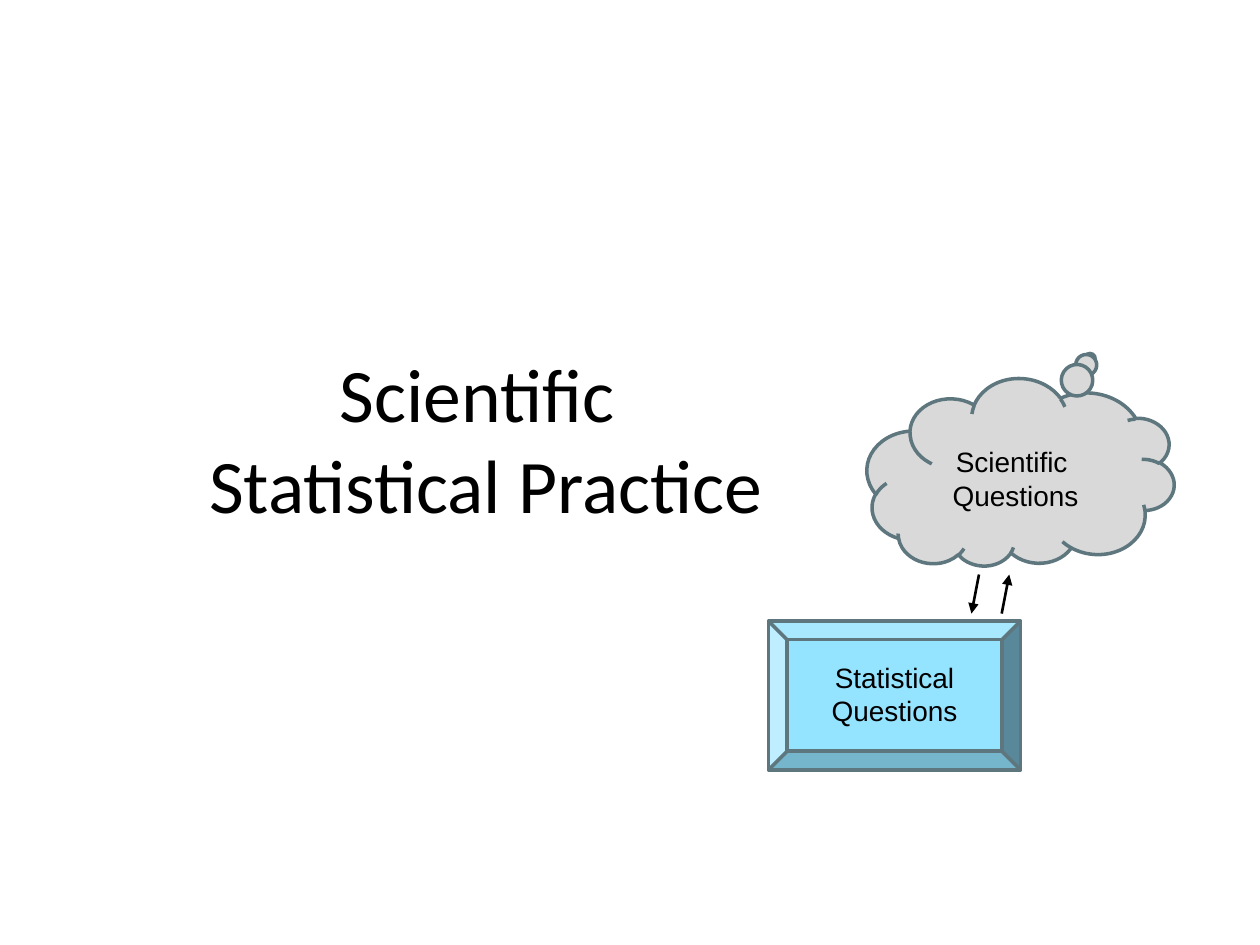
"""Build a slide linking scientific questions to statistical questions."""
from pptx import Presentation
from pptx.dml.color import RGBColor
from pptx.enum.shapes import MSO_CONNECTOR, MSO_SHAPE
from pptx.enum.text import MSO_ANCHOR, PP_ALIGN
from pptx.oxml.ns import qn
from pptx.util import Inches, Pt
from lxml.etree import SubElement

COLORS = {"cloud": "D9D9D9", "bevel": "94E4FF", "outline": "5E777F", "ink": "000000"}

presentation = Presentation()
presentation.slide_width = Inches(10)
presentation.slide_height = Inches(7.5)
slide = presentation.slides.add_slide(presentation.slide_layouts[6])


def place(left, top, width, height):
    across, down = presentation.slide_width / 10, presentation.slide_height / 7.5
    return int(left * across), int(top * down), int(width * across), int(height * down)


def add_text(text, box, size=16, font="Arial", anchor=MSO_ANCHOR.TOP):
    frame = slide.shapes.add_textbox(*place(*box)).text_frame
    frame.word_wrap = True
    frame.vertical_anchor = anchor
    paragraph = frame.paragraphs[0]
    paragraph.text = text
    paragraph.alignment = PP_ALIGN.CENTER
    for run in paragraph.runs:
        run.font.size = Pt(size)
        run.font.name = font
        run.font.color.rgb = RGBColor.from_string(COLORS["ink"])


add_text("Scientific \vStatistical Practice", (0.35, 3.04, 7.01, 0.87),
         size=43.2, font="Calibri", anchor=MSO_ANCHOR.MIDDLE)

questions = [
    (MSO_SHAPE.CLOUD_CALLOUT, "cloud", (6.88, 3.01, 2.44, 1.5), 182.6,
     "Scientific \vQuestions", (7.27, 3.48, 1.58, 0.64)),
    (MSO_SHAPE.BEVEL, "bevel", (6.1, 4.93, 2, 1.18), 0,
     "Statistical\vQuestions", (6.31, 5.19, 1.58, 0.64)),
]
for preset, color, shape_box, rotation, label, label_box in questions:
    shape = slide.shapes.add_shape(preset, *place(*shape_box))
    shape.rotation = rotation
    shape.shadow.inherit = False
    shape.fill.solid()
    shape.fill.fore_color.rgb = RGBColor.from_string(COLORS[color])
    shape.line.color.rgb = RGBColor.from_string(COLORS["outline"])
    shape.line.width = Pt(2)
    add_text(label, label_box)

for top_x, arrow_end in [(7.77, "a:tailEnd"), (8.01, "a:headEnd")]:
    begin_x, begin_y, end_x, end_y = place(top_x, 4.56, top_x - 0.06, 4.87)
    arrow = slide.shapes.add_connector(MSO_CONNECTOR.STRAIGHT, begin_x, begin_y, end_x, end_y)
    arrow.line.color.rgb = RGBColor.from_string(COLORS["ink"])
    arrow.line.width = Pt(1.5)
    SubElement(arrow.line._get_or_add_ln(), qn(arrow_end), type="triangle")
    SubElement(arrow._element.spPr, qn("a:effectLst"))

presentation.save("out.pptx")
